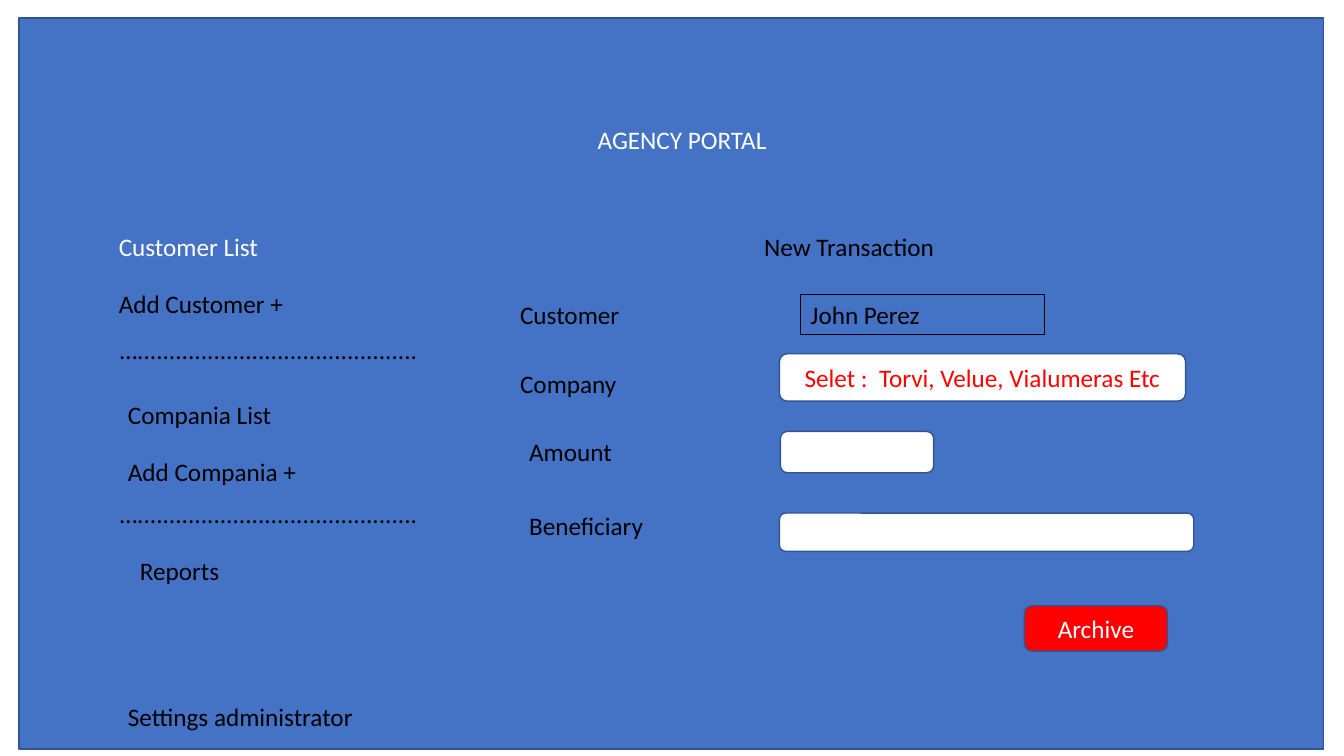
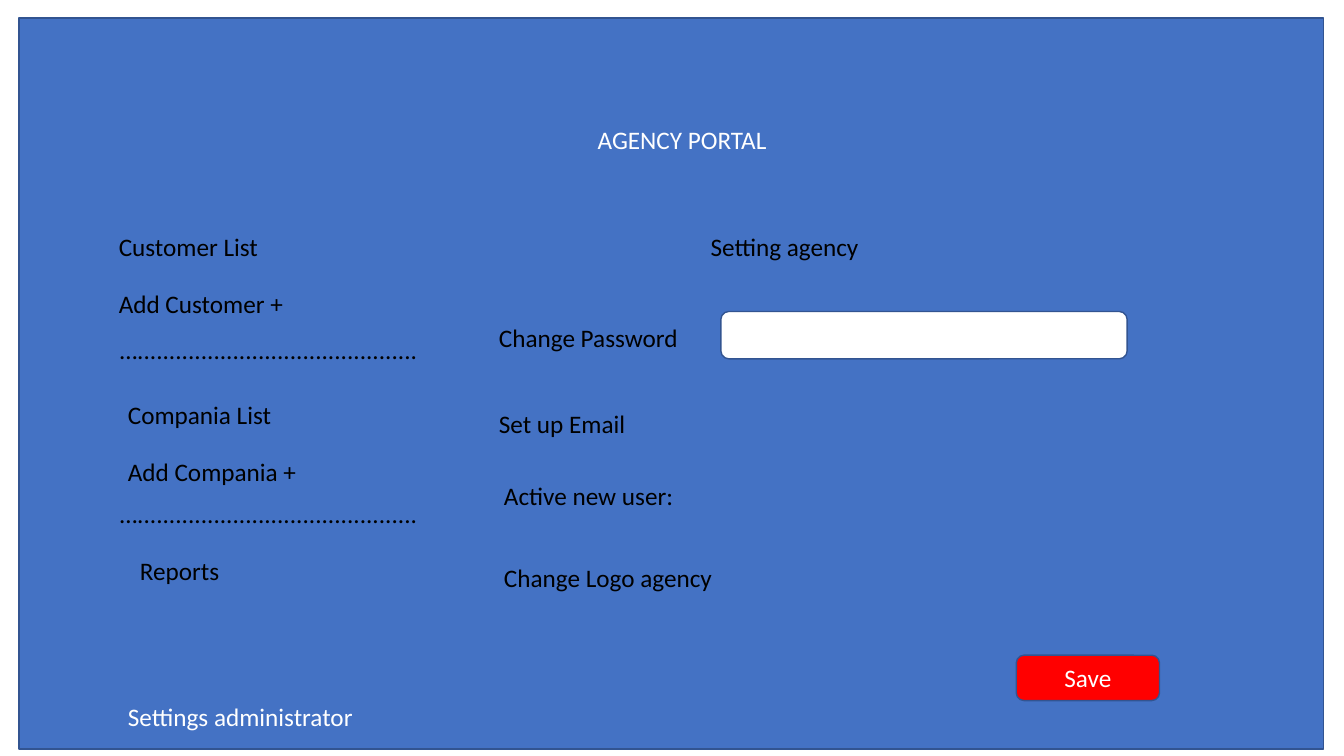
import pptx
import pptx.util
import pptx.dml.color
import pptx.enum.shapes
import pptx.enum.text
from dataclasses import dataclass

SHAPES = pptx.enum.shapes.MSO_SHAPE
ALIGN = pptx.enum.text.PP_ALIGN
ANCHOR = pptx.enum.text.MSO_ANCHOR
AUTO_SIZE = pptx.enum.text.MSO_AUTO_SIZE
EMU_PER_PX = 9144

SEPARATOR = "…............................................"
SIDEBAR = [
    ("Customer List", 108, 225, 300),
    ("Add Customer +", 108, 281, 300),
    (SEPARATOR, 109, 327, 486),
    ("Compania List", 117, 391, 300),
    ("Add Compania +", 117, 448, 300),
    (SEPARATOR, 109, 489, 486),
    ("Reports", 129, 546, 300),
    ("Settings administrator", 117, 691, 300),
]


@dataclass(frozen=True)
class Theme:
    panel: str = "4472C4"
    outline: str = "325491"
    white: str = "FFFFFF"
    black: str = "000000"
    red: str = "FF0000"
    font: str = "Calibri"
    text_size: int = 18
    outline_width: float = 1
    thin_width: float = 0.75
    text_height: int = 40


THEME = Theme()


def px(*lengths):
    return [pptx.util.Emu(length * EMU_PER_PX) for length in lengths]


def rgb(color):
    return pptx.dml.color.RGBColor.from_string(color)


def write_text(shape, text, color=THEME.black, align=ALIGN.LEFT, anchor=ANCHOR.TOP, grow=True):
    frame = shape.text_frame
    frame.word_wrap = True
    frame.vertical_anchor = anchor
    frame.auto_size = AUTO_SIZE.SHAPE_TO_FIT_TEXT if grow else AUTO_SIZE.NONE
    paragraph = frame.paragraphs[0]
    paragraph.alignment = align
    run = paragraph.add_run()
    run.text = text
    run.font.name = THEME.font
    run.font.size = pptx.util.Pt(THEME.text_size)
    run.font.color.rgb = rgb(color)


class Portal:
    def __init__(self, presentation):
        self.presentation = presentation
        self.slide = None

    def start_slide(self, active_item):
        self.slide = self.presentation.slides.add_slide(self.presentation.slide_layouts[6])
        self.box(19, 18, 1294, 725, fill=THEME.panel, kind=SHAPES.RECTANGLE)
        self.label("AGENCY PORTAL", 507, 118, 339, color=THEME.white, align=ALIGN.CENTER)
        for text, left, top, width in SIDEBAR:
            color = THEME.white if text == active_item else THEME.black
            self.label(text, left, top, width, color=color)

    def label(self, text, left, top, width=242, border=False, **text_format):
        shape = self.slide.shapes.add_textbox(*px(left, top, width, THEME.text_height))
        if border:
            shape.line.color.rgb = rgb(THEME.black)
            shape.line.width = pptx.util.Pt(THEME.thin_width)
        write_text(shape, text, **text_format)

    def box(self, left, top, width, height, fill=THEME.white, kind=SHAPES.ROUNDED_RECTANGLE):
        shape = self.slide.shapes.add_shape(kind, *px(left, top, width, height))
        shape.shadow.inherit = False
        shape.fill.solid()
        shape.fill.fore_color.rgb = rgb(fill)
        shape.line.color.rgb = rgb(THEME.outline)
        shape.line.width = pptx.util.Pt(THEME.outline_width)
        return shape

    def field(self, left, top, width, height, text=None):
        shape = self.box(left, top, width, height)
        if text:
            self.caption(shape, text, THEME.red)

    def button(self, text, left, top):
        shape = self.box(left, top, 142, 45, fill=THEME.red)
        self.caption(shape, text, THEME.white)

    def caption(self, shape, text, color):
        write_text(shape, text, color=color, align=ALIGN.CENTER, anchor=ANCHOR.MIDDLE, grow=False)


def build_transaction(portal):
    portal.start_slide("Customer List")
    portal.label("New Transaction", 748, 225)
    portal.label("Customer", 506, 292)
    portal.label("John Perez", 794, 292, border=True)
    portal.label("Company", 506, 360)
    portal.field(773, 351, 403, 47, "Selet :  Torvi, Velue, Vialumeras Etc")
    portal.label("Amount", 515, 428, 160)
    portal.field(774, 428, 152, 41)
    portal.label("Beneficiary", 515, 501, 160)
    portal.field(773, 509, 411, 38)
    portal.button("Archive", 1016, 601)


def build_settings(portal):
    portal.start_slide("Settings administrator")
    portal.label("Setting agency", 695, 225, 300)
    portal.label("Change Password", 485, 315)
    portal.field(715, 309, 403, 47)
    portal.label("Set up Email", 485, 400)
    portal.label("Active new user: ", 490, 472)
    portal.label("Change Logo agency", 490, 553)
    portal.button("Save", 1008, 650)


def main():
    presentation = pptx.Presentation()
    presentation.slide_width, presentation.slide_height = px(1333, 750)
    portal = Portal(presentation)
    build_transaction(portal)
    build_settings(portal)
    presentation.save("out.pptx")


if __name__ == "__main__":
    main()
